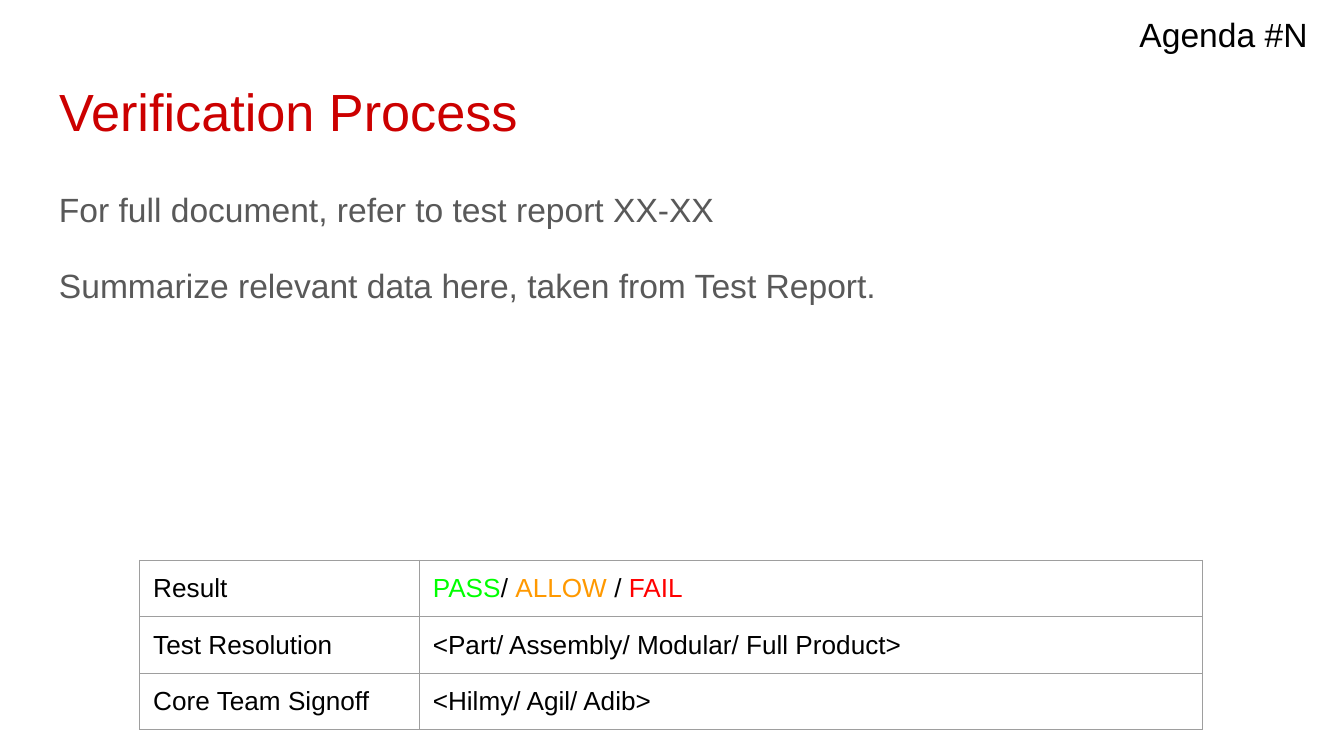
from lxml import etree
from pptx import Presentation
from pptx import util as u
from pptx.dml import color
from pptx.enum import text
from pptx.oxml import ns

COLORS = {"title": "CC0000", "body": "595959", "black": "000000", "border": "9E9E9E",
          "pass": "00FF00", "allow": "FF9900", "fail": "FF0000"}
WIDTH = 10
HEIGHT = WIDTH * 9 / 16


class Deck:
    font = "Arial"
    inset = u.Inches(0.1)

    def __init__(self):
        self.presentation = Presentation()
        self.presentation.slide_width = u.Inches(WIDTH)
        self.presentation.slide_height = u.Inches(HEIGHT)
        self.slide = self.presentation.slides.add_slide(self.presentation.slide_layouts[5])

    def box(self, left, top, width, height):
        return [round(share * size) for share, size in zip(
            (left, top, width, height),
            (self.presentation.slide_width, self.presentation.slide_height) * 2)]

    def runs(self, paragraph, parts, size):
        paragraph.alignment = text.PP_ALIGN.LEFT
        for words, color_name in parts:
            run = paragraph.add_run()
            run.text = words
            run.font.name = self.font
            run.font.size = u.Pt(size)
            run.font.color.rgb = color.RGBColor.from_string(COLORS[color_name])

    def margins(self, holder):
        for side in ("left", "top", "right", "bottom"):
            setattr(holder, f"margin_{side}", self.inset)
        holder.vertical_anchor = text.MSO_ANCHOR.TOP

    def fill_frame(self, frame, lines, size, color_name, spacing=1, gap=0):
        self.margins(frame)
        frame.word_wrap = True
        frame.auto_size = text.MSO_AUTO_SIZE.NONE
        for index, line in enumerate(lines):
            paragraph = frame.add_paragraph() if index else frame.paragraphs[0]
            paragraph.line_spacing = spacing
            paragraph.space_before = u.Pt(gap if index else 0)
            self.runs(paragraph, [(line, color_name)], size)

    def title(self, words, box, size):
        shape = self.slide.shapes.title
        shape.left, shape.top, shape.width, shape.height = self.box(*box)
        self.fill_frame(shape.text_frame, [words], size, "title")

    def text_box(self, lines, box, size, color_name, **spacing):
        shape = self.slide.shapes.add_textbox(*self.box(*box))
        self.fill_frame(shape.text_frame, lines, size, color_name, **spacing)

    def borders(self, cell):
        properties = cell._tc.get_or_add_tcPr()
        for index, side in enumerate(("lnL", "lnR", "lnT", "lnB")):
            line = etree.Element(ns.qn(f"a:{side}"), w=str(u.Pt(0.75)))
            fill = etree.SubElement(line, ns.qn("a:solidFill"))
            etree.SubElement(fill, ns.qn("a:srgbClr"), val=COLORS["border"])
            properties.insert(index, line)

    def table(self, rows, box, column_shares, size):
        frame = self.slide.shapes.add_table(len(rows), len(column_shares), *self.box(*box))
        table = frame.table
        table.first_row = table.horz_banding = False
        for column, share in zip(table.columns, column_shares):
            column.width = round(self.presentation.slide_width * share)
        for row_index, row in enumerate(rows):
            for column_index, parts in enumerate(row):
                cell = table.cell(row_index, column_index)
                self.margins(cell)
                cell.fill.background()
                self.borders(cell)
                self.runs(cell.text_frame.paragraphs[0], parts, size)


deck = Deck()
deck.title("Verification Process", (0.034, 0.49 / HEIGHT, 0.932, 0.63 / HEIGHT), 28)
deck.text_box(["For full document, refer to test report XX-XX",
               "Summarize relevant data here, taken from Test Report."],
              (0.034, 1.26 / HEIGHT, 0.932, 3.74 / HEIGHT), 18, "body", spacing=1.15, gap=16)
verdict = [("PASS", "pass"), ("/ ", "black"), ("ALLOW ", "allow"), ("/ ", "black"), ("FAIL ", "fail")]
deck.table([
    [[("Result", "black")], verdict],
    [[("Test Resolution", "black")], [("<Part/ Assembly/ Modular/ Full Product>", "black")]],
    [[("Core Team Signoff", "black")], [("<Hilmy/ Agil/ Adib>", "black")]],
], (0.104, 4.17 / HEIGHT, 0.791, 1.26 / HEIGHT), (0.208, 0.583), 14)
deck.text_box(["Agenda #N"], (0.838, 0, 0.162, 0.51 / HEIGHT), 18, "black")
deck.presentation.save("out.pptx")
